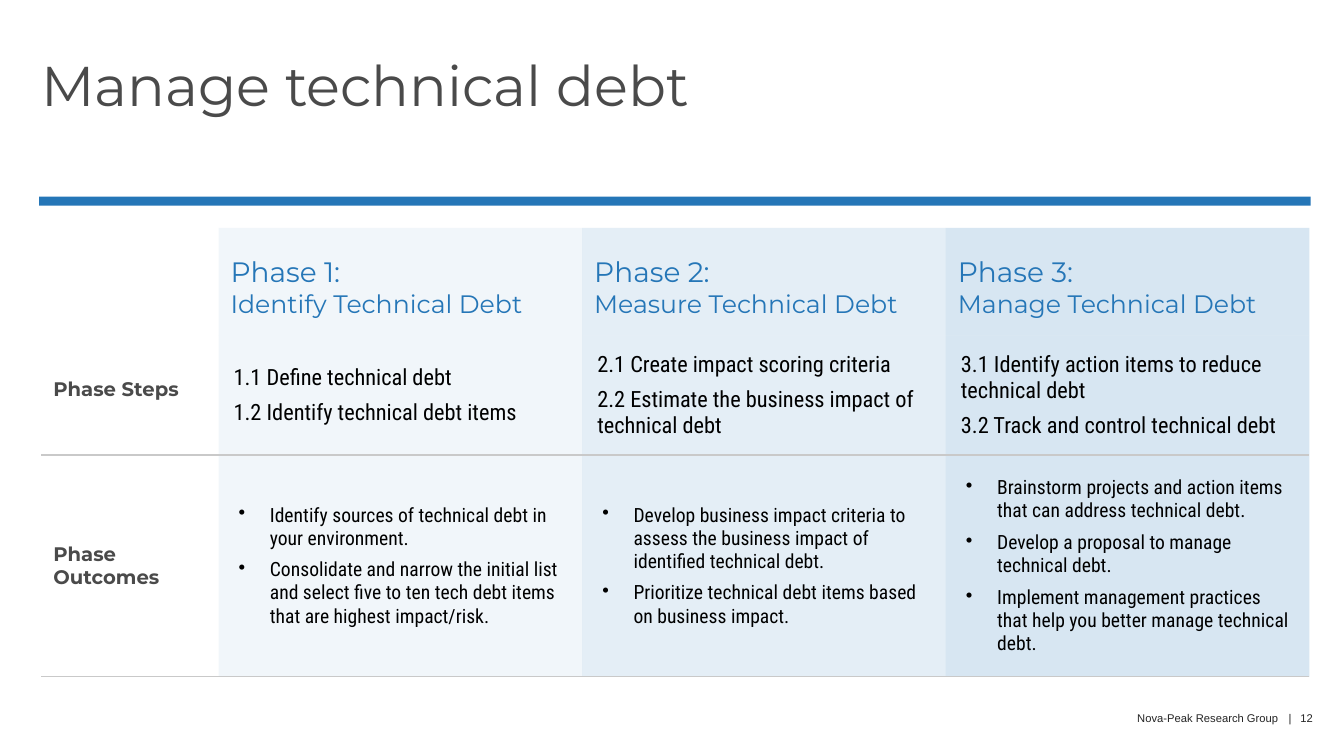
from dataclasses import dataclass
from itertools import cycle

from lxml import etree
from pptx import Presentation
from pptx.dml.color import RGBColor
from pptx.enum.shapes import MSO_SHAPE
from pptx.enum.text import MSO_ANCHOR
from pptx.oxml.ns import qn
from pptx.util import Inches, Pt

RECT = MSO_SHAPE.RECTANGLE
MIDDLE = MSO_ANCHOR.MIDDLE
WIDTH, HEIGHT = Inches(13.34), Inches(7.5)
PLAIN = "{2D5ABB26-0587-4C30-8999-92F81FD0307C}"


@dataclass(frozen=True)
class Theme:
    blue: str = "2576B7"
    tint: str = "7CADD4"
    gray: str = "4A4A4A"
    rule: str = "C9C9C9"
    black: str = "000000"
    small: str = "242424"
    head: str = "Montserrat"
    body: str = "Roboto Condensed"
    foot: str = "Arial"
    title: tuple = (40,)
    phase: tuple = (20, 18)
    step: tuple = (16,)
    label: tuple = (14,)
    note: tuple = (8,)


THEME = Theme()
LABELS = ["", "Phase Steps", "Phase Outcomes"]
PHASES = [
    (
        ["Phase 1:", "Identify Technical Debt"],
        ["1.1 Define technical debt", "1.2 Identify technical debt items"],
        [
            "Identify sources of technical debt in your environment.",
            "Consolidate and narrow the initial list and select five to ten tech debt items that are highest impact/risk.",
        ],
    ),
    (
        ["Phase 2:", "Measure Technical Debt"],
        [
            "2.1 Create impact scoring criteria",
            "2.2 Estimate the business impact of technical debt",
        ],
        [
            "Develop business impact criteria to assess the business impact of identified technical debt.",
            "Prioritize technical debt items based on business impact.",
        ],
    ),
    (
        ["Phase 3:", "Manage Technical Debt"],
        [
            "3.1 Identify action items to reduce technical debt",
            "3.2 Track and control technical debt",
        ],
        [
            "Brainstorm projects and action items that can address technical debt.",
            "Develop a proposal to manage technical debt.",
            "Implement management practices that help you better manage technical debt.",
        ],
    ),
]


def across(share):
    return round(WIDTH * share / 100)


def down(share):
    return round(HEIGHT * share / 100)


def place(left, top, width, height):
    return across(left), down(top), across(width), down(height)


def write(frame, lines, sizes, face, color, bold=False, after=0, lead=None, bullet=False, tabs=()):
    for spot, (line, size) in enumerate(zip(lines, cycle(sizes))):
        para = frame.add_paragraph() if spot else frame.paragraphs[0]
        props = para._p.get_or_add_pPr()
        if bullet:
            props.set("marL", str(Inches(0.31)))
            props.set("indent", str(-Inches(0.31)))
            etree.SubElement(props, qn("a:buChar"), char="•")
        if tabs:
            stops = etree.SubElement(props, qn("a:tabLst"))
            for stop in tabs:
                etree.SubElement(stops, qn("a:tab"), pos=str(across(stop)), algn="r")
        para.space_after = Pt(after)
        if lead:
            para.line_spacing = lead
        run = para.add_run()
        run.text = line
        run.font.size = Pt(size)
        run.font.name = face
        run.font.bold = bold
        run.font.color.rgb = RGBColor.from_string(color)


def pad(box, left, top, right, bottom):
    box.margin_left, box.margin_top = Inches(left), Inches(top)
    box.margin_right, box.margin_bottom = Inches(right), Inches(bottom)


def add_text(slide, area, line, **style):
    frame = slide.shapes.add_textbox(*place(*area)).text_frame
    frame.word_wrap = True
    pad(frame, 0, 0, 0, 0)
    write(frame, [line], **style)


def add_bar(slide, area):
    bar = slide.shapes.add_shape(RECT, *place(*area))
    bar.shadow.inherit = False
    bar.fill.solid()
    bar.fill.fore_color.rgb = RGBColor.from_string(THEME.blue)
    bar.line.fill.background()


def rule(cell):
    line = etree.SubElement(cell._tc.get_or_add_tcPr(), qn("a:lnB"), w=str(Pt(1)))
    fill = etree.SubElement(line, qn("a:solidFill"))
    etree.SubElement(fill, qn("a:srgbClr"), val=THEME.rule)


def tint(cell, share):
    cell.fill.solid()
    cell.fill.fore_color.rgb = RGBColor.from_string(THEME.tint)
    for color in cell._tc.tcPr.findall(qn("a:solidFill") + "/" + qn("a:srgbClr")):
        etree.SubElement(color, qn("a:alpha"), val=str(share * 1000))


def add_grid(slide, area, cols, rows):
    shape = slide.shapes.add_table(len(rows), len(cols), *place(*area))
    for style in shape.element.iter(qn("a:tableStyleId")):
        style.text = PLAIN
    table = shape.table
    table.first_row = table.horz_banding = False
    for col, share in zip(table.columns, cols):
        col.width = across(share)
    for row, share in zip(table.rows, rows):
        row.height = down(share)

    label = dict(sizes=THEME.label, face=THEME.head, color=THEME.gray, bold=True)
    looks = [
        dict(sizes=THEME.phase, face=THEME.head, color=THEME.blue),
        dict(sizes=THEME.step, face=THEME.body, color=THEME.black, after=6),
        dict(sizes=THEME.label, face=THEME.body, color=THEME.black, after=6, bullet=True),
    ]
    pads = [(0.12, 0.24, 0.12, 0.12), (0.15,) * 4, (0.2,) * 4]
    sides = [(0.12,) * 4, (0.12, 0.04, 0, 0.16), (0.12,) * 4]
    for y, look in enumerate(looks):
        for x in range(len(cols)):
            cell = table.cell(y, x)
            cell.vertical_anchor = MIDDLE
            if y:
                rule(cell)
            if x:
                pad(cell, *pads[y])
                tint(cell, 10 * x)
                write(cell.text_frame, PHASES[x - 1][y], **look)
            else:
                pad(cell, *sides[y])
                cell.fill.background()
                if LABELS[y]:
                    write(cell.text_frame, [LABELS[y]], **label)


def main():
    deck = Presentation()
    deck.slide_width, deck.slide_height = WIDTH, HEIGHT
    slide = deck.slides.add_slide(deck.slide_layouts[6])
    add_text(slide, (82.46, 94.1, 15.97, 1.73), "\tNova-Peak Research Group\t|\t12",
             sizes=THEME.note, face=THEME.foot, color=THEME.small, tabs=(12.67, 13.64, 15.22))
    add_text(slide, (3.07, 7.73, 94.6, 16.53), "Manage technical debt",
             sizes=THEME.title, face=THEME.head, color=THEME.gray, lead=0.9)
    add_bar(slide, (2.92, 26, 94.6, 1.2))
    add_grid(slide, (3.07, 30.13, 94.38, 58.8), [13.19] + [27.06] * 3, [14.27, 15.73, 28.8])
    deck.save("out.pptx")


if __name__ == "__main__":
    main()
